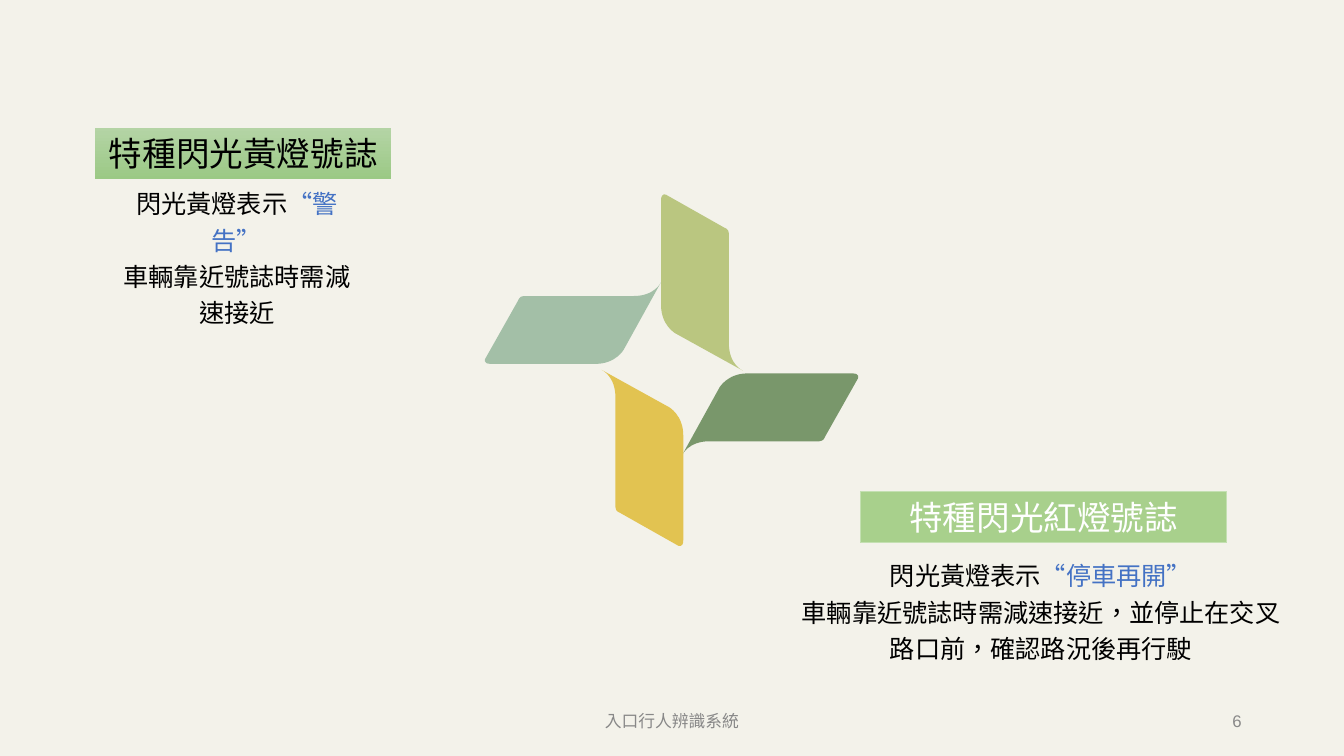
from lxml import etree
from pptx import Presentation
from pptx.dml.color import RGBColor
from pptx.enum.lang import MSO_LANGUAGE_ID
from pptx.enum.shapes import MSO_SHAPE
from pptx.enum.text import MSO_ANCHOR, PP_ALIGN
from pptx.oxml.ns import qn
from pptx.util import Cm, Pt

RECTANGLE = MSO_SHAPE.RECTANGLE
TOP, MIDDLE = MSO_ANCHOR.TOP, MSO_ANCHOR.MIDDLE
CENTER, RIGHT = PP_ALIGN.CENTER, PP_ALIGN.RIGHT
TAIWAN_CHINESE = MSO_LANGUAGE_ID.TRADITIONAL_CHINESE

BACKGROUND = RGBColor(0xF3, 0xF2, 0xEA)
BLACK = RGBColor(0x00, 0x00, 0x00)
WHITE = RGBColor(0xFF, 0xFF, 0xFF)
GRAY = RGBColor(0x88, 0x88, 0x88)
BLUE = RGBColor(0x44, 0x72, 0xC4)
LIGHT_GREEN = RGBColor(0xB4, 0xD4, 0xA5)
DEEP_GREEN = RGBColor(0x9B, 0xC9, 0x85)
LABEL_GREEN = RGBColor(0xA8, 0xD0, 0x8C)
LABEL_BORDER = RGBColor(0xC4, 0xE0, 0xB2)
SAGE = RGBColor(0xA3, 0xBF, 0xA7)
LIME = RGBColor(0xBA, 0xC6, 0x80)
MOSS = RGBColor(0x79, 0x97, 0x6B)
YELLOW = RGBColor(0xE2, 0xC3, 0x51)

# Bézier corners of one blade in centimetres from its tip; straight edges join them.
BLADE_CORNERS = [
    [(0, 0), (0, 0), (-0.15, 0.35), (-0.69, 0.35)],
    [(-3.46, 0.35), (-3.57, 0.35), (-3.6, 0.46), (-3.6, 0.46)],
    [(-4.43, 1.93), (-4.43, 1.93), (-4.5, 2.06), (-4.29, 2.06)],
    [(-1.65, 2.06), (-1.14, 2.06), (-0.94, 1.7), (-0.94, 1.7)],
]
# Tip position of each blade from the pinwheel's corner; each turns 90° further.
BLADES = [(4.5, 2.29, SAGE), (6.56, 4.52, LIME), (5.03, 6.65, MOSS), (3, 4.5, YELLOW)]


def round_corners(blade):
    """Turn the last three points of each blade corner into one Bézier curve."""
    segments = blade.element.xpath(".//a:lnTo")
    for first in range(0, len(segments), len(BLADE_CORNERS[0])):
        curve = etree.Element(qn("a:cubicBezTo"))
        segments[first].addprevious(curve)
        for segment in segments[first:first + 3]:
            curve.append(segment[0])
            segment.getparent().remove(segment)


def add_pinwheel(slide, left, top):
    shapes = slide.shapes.add_group_shape().shapes
    outline = [point for corner in BLADE_CORNERS for point in corner]
    for tip_x, tip_y, color in BLADES:
        points = [(Cm(left + tip_x + x), Cm(top + tip_y + y)) for x, y in outline]
        builder = shapes.build_freeform(*points[0])
        builder.add_line_segments(points[1:], close=True)
        blade = builder.convert_to_shape()
        round_corners(blade)
        blade.shadow.inherit = False
        blade.fill.solid()
        blade.fill.fore_color.rgb = color
        blade.line.fill.background()
        outline = [(-y, x) for x, y in outline]


def style_paragraph(paragraph, size, font, color, alignment=CENTER):
    paragraph.alignment = alignment
    paragraph.font.size = Pt(size)
    paragraph.font.name = font
    paragraph.font.color.rgb = color
    for run in paragraph.runs:
        run.font.language_id = TAIWAN_CHINESE


def add_text_frame(shapes, left, top, width, height, anchor=TOP):
    box = shapes.add_textbox(Cm(left), Cm(top), Cm(width), Cm(height))
    box.text_frame.word_wrap = True
    box.text_frame.vertical_anchor = anchor
    return box.text_frame


def add_label(shapes, left, top, width, text, color):
    label = shapes.add_shape(RECTANGLE, Cm(left), Cm(top), Cm(width), Cm(1.29))
    label.shadow.inherit = False
    label.text_frame.vertical_anchor = TOP
    paragraph = label.text_frame.paragraphs[0]
    paragraph.text = text
    style_paragraph(paragraph, 24, "Lato", color)
    return label


def add_description(shapes, left, top, width, height, keyword, advice):
    frame = add_text_frame(shapes, left, top, width, height)
    meaning = frame.paragraphs[0]
    meaning.add_run().text = "閃光黃燈表示"
    highlight = meaning.add_run()
    highlight.text = keyword
    highlight.font.color.rgb = BLUE
    frame.add_paragraph().text = advice
    for paragraph in frame.paragraphs:
        style_paragraph(paragraph, 18, "Arial", BLACK)
        paragraph.line_spacing = 1.2


def add_yellow_signal(slide, left, top):
    shapes = slide.shapes.add_group_shape().shapes
    add_description(shapes, left + 0.19, top + 1.25, 6.76, 2.87,
                    "“警告”", "車輛靠近號誌時需減速接近")
    label = add_label(shapes, left, top, 7.46, "特種閃光黃燈號誌", BLACK)
    label.fill.gradient()
    label.fill.gradient_angle = 270
    for stop, color in zip(label.fill.gradient_stops, (LIGHT_GREEN, DEEP_GREEN)):
        stop.color.rgb = color
    label.line.fill.background()


def add_red_signal(slide, left, top):
    shapes = slide.shapes.add_group_shape().shapes
    add_description(shapes, left, top + 1.46, 12.61, 2.9, "“停車再開”",
                    "車輛靠近號誌時需減速接近，並停止在交叉路口前，確認路況後再行駛")
    label = add_label(shapes, left + 1.75, top, 9.24, "特種閃光紅燈號誌", WHITE)
    label.fill.solid()
    label.fill.fore_color.rgb = LABEL_GREEN
    label.line.color.rgb = LABEL_BORDER
    label.line.width = Pt(0.75)


def add_footer(slide, left, top):
    for offset, width, text, font, alignment in (
        (0, 11.43, "入口行人辨識系統", "Lato", CENTER),
        (12.7, 7.62, "6", "Arial", RIGHT),
    ):
        frame = add_text_frame(slide.shapes, left + offset, top, width, 1.02, MIDDLE)
        paragraph = frame.paragraphs[0]
        paragraph.text = text
        style_paragraph(paragraph, 12, font, GRAY, alignment)


def main():
    presentation = Presentation()
    presentation.slide_width, presentation.slide_height = Cm(33.87), Cm(19.05)
    slide = presentation.slides.add_slide(presentation.slide_layouts[6])
    slide.background.fill.solid()
    slide.background.fill.fore_color.rgb = BACKGROUND
    add_pinwheel(slide, 12.16, 4.82)
    add_yellow_signal(slide, 2.4, 3.23)
    add_red_signal(slide, 19.93, 12.39)
    add_footer(slide, 11.22, 17.65)
    presentation.save("out.pptx")


if __name__ == "__main__":
    main()
